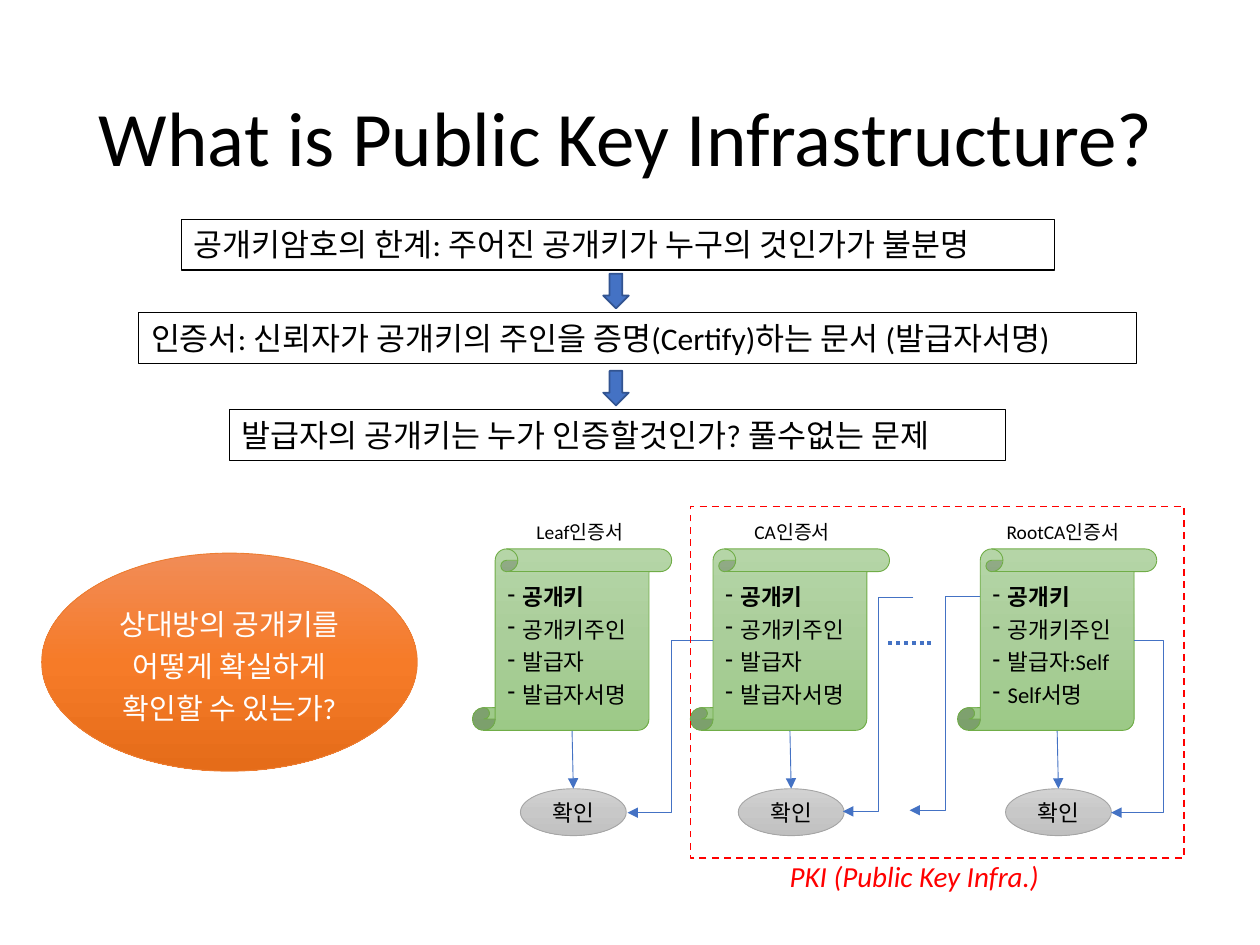
import copy
from dataclasses import dataclass

import pptx
import pptx.dml.color
import pptx.enum.dml
import pptx.enum.shapes
import pptx.enum.text
import pptx.oxml.ns
import pptx.util
from lxml import etree

Pt = pptx.util.Pt
qn = pptx.oxml.ns.qn
SHAPE = pptx.enum.shapes.MSO_SHAPE
CONNECTOR = pptx.enum.shapes.MSO_CONNECTOR
DASH = pptx.enum.dml.MSO_LINE
ALIGN = pptx.enum.text.PP_ALIGN
ANCHOR = pptx.enum.text.MSO_ANCHOR


@dataclass(frozen=True)
class Theme:
    font: str = "Calibri"
    title: float = 44
    step: float = 18
    callout: float = 16.6
    body: float = 12.9
    label: float = 11.1
    black: str = "000000"
    white: str = "FFFFFF"
    red: str = "FF0000"
    blue: str = "4472C4"
    dark_blue: str = "325491"
    green: str = "70AD47"
    orange: str = "ED7D31"
    gray: str = "A5A5A5"
    green_fill: tuple = ("B5D5A7", "AACE9A", "9CC987")
    orange_fill: tuple = ("F18C57", "F67B28", "E56C19")
    gray_fill: tuple = ("D2D2D2", "C8C8C8", "C0C0C0")


def rgb(value):
    return pptx.dml.color.RGBColor.from_string(value)


class Painter:
    def __init__(self, page, theme):
        self.page = page
        self.theme = theme

    def outline(self, line, color, width, dash=None):
        line.color.rgb = rgb(color)
        line.width = Pt(width)
        if dash:
            line.dash_style = dash

    def set_text(self, item, text, size, color=None, align=ALIGN.LEFT,
                 anchor=ANCHOR.TOP, spacing=None, bullet=None):
        frame = item.text_frame
        frame.word_wrap = True
        frame.vertical_anchor = anchor
        frame.text = text
        for para in frame.paragraphs:
            para.alignment = align
            if spacing:
                para.line_spacing = spacing
            if bullet:
                properties = para._p.get_or_add_pPr()
                properties.set("marL", str(Pt(8.6)))
                properties.set("indent", str(-Pt(8.6)))
                etree.SubElement(properties, qn("a:buChar")).set("char", bullet)
            for span in para.runs:
                span.font.name = self.theme.font
                span.font.size = Pt(size)
                span.font.color.rgb = rgb(color or self.theme.black)

    def text(self, text, left, top, width, height, size, **style):
        box = self.page.shapes.add_textbox(Pt(left), Pt(top), Pt(width), Pt(height))
        self.set_text(box, text, size, **style)
        return box

    def gradient(self, fill, colors):
        """Fill from top to bottom with three evenly spaced colours."""
        fill.gradient()
        fill.gradient_angle = 270
        stops = fill._xPr.find(qn("a:gradFill")).find(qn("a:gsLst"))
        stops.append(copy.deepcopy(stops[0]))
        for index, (stop, color) in enumerate(zip(fill.gradient_stops, colors)):
            stop.position = index / 2
            stop.color.rgb = rgb(color)

    def shape(self, kind, left, top, width, height, fill, color, line_width, dash=None):
        item = self.page.shapes.add_shape(kind, Pt(left), Pt(top), Pt(width), Pt(height))
        item.shadow.inherit = False
        if fill is None:
            item.fill.background()
        elif isinstance(fill, tuple):
            self.gradient(item.fill, fill)
        else:
            item.fill.solid()
            item.fill.fore_color.rgb = rgb(fill)
        self.outline(item.line, color, line_width, dash)
        return item

    def connector(self, start, end, width=0.5, bend=None, dash=None, arrow=True):
        """Join two points; bend is where the elbow turns, as a share of the width."""
        kind = CONNECTOR.STRAIGHT if bend is None else CONNECTOR.ELBOW
        item = self.page.shapes.add_connector(kind, *map(Pt, start + end))
        self.outline(item.line, self.theme.blue, width, dash)
        properties = item._element.spPr
        if bend is not None:
            guides = properties.find(qn("a:prstGeom")).get_or_add_avLst()
            guide = etree.SubElement(guides, qn("a:gd"))
            guide.set("name", "adj1")
            guide.set("fmla", f"val {round(bend * 100000)}")
        if arrow:
            tail = etree.SubElement(properties.find(qn("a:ln")), qn("a:tailEnd"))
            tail.set("type", "triangle")
        etree.SubElement(properties, qn("a:effectLst"))

    def step(self, text, left, top, width):
        box = self.text(text, left, top, width, 29, self.theme.step)
        self.outline(box.line, self.theme.black, 0.75)

    def certificate(self, left, label, label_left, label_width, lines):
        """Draw a labelled scroll with an arrow down to its check."""
        theme = self.theme
        scroll = self.shape(SHAPE.VERTICAL_SCROLL, left, 313.7, 113.8, 103.7,
                            theme.green_fill, theme.green, 0.5)
        self.set_text(scroll, "\n".join(lines), theme.body, spacing=1.2, bullet="-")
        scroll.text_frame.paragraphs[0].runs[0].font.bold = True
        self.text(label, label_left, 293.8, label_width, 20.9, theme.label)
        check = self.shape(SHAPE.OVAL, left + 27.4, 450.7, 60.5, 26.8,
                           theme.gray_fill, theme.gray, 0.5)
        self.set_text(check, "확인", theme.body, align=ALIGN.CENTER, anchor=ANCHOR.MIDDLE)
        self.connector((left + 56.9, 417.6), (left + 57.6, 450.7))


def main():
    deck = pptx.Presentation()
    deck.slide_width, deck.slide_height = Pt(720), Pt(540)
    theme = Theme()
    painter = Painter(deck.slides.add_slide(deck.slide_layouts[6]), theme)

    painter.text("What is Public Key Infrastructure?", 49.5, 28.8, 621, 104.4,
                 theme.title, anchor=ANCHOR.MIDDLE, spacing=0.9)

    painter.step("공개키암호의 한계: 주어진 공개키가 누구의 것인가가 불분명", 103.7, 125.3, 499)
    painter.step("인증서: 신뢰자가 공개키의 주인을 증명(Certify)하는 문서 (발급자서명)",
                 79.2, 178.6, 570.2)
    painter.step("발급자의 공개키는 누가 인증할것인가? 풀수없는 문제", 131, 234, 443.5)
    for top in (156.4, 211.9):
        painter.shape(SHAPE.DOWN_ARROW, 344.7, top, 14.6, 19.8,
                      theme.blue, theme.dark_blue, 1)

    question = painter.shape(SHAPE.OVAL, 23.8, 316.1, 214.6, 124.6,
                             theme.orange_fill, theme.orange, 0.5)
    painter.set_text(question, "상대방의 공개키를\n어떻게 확실하게\n확인할 수 있는가?",
                     theme.callout, theme.white, ALIGN.CENTER, ANCHOR.MIDDLE, 1.2)

    holder = ["공개키", "공개키주인"]
    issued = holder + ["발급자", "발급자서명"]
    self_signed = holder + ["발급자:Self", "Self서명"]
    painter.certificate(270, "Leaf인증서", 299.5, 67, issued)
    painter.certificate(394.5, "CA인증서", 424, 60.5, issued)
    painter.certificate(547.2, "RootCA인증서", 568.1, 82.1, self_signed)

    painter.connector((407.5, 365.8), (358.6, 464.4), bend=0.49)
    painter.connector((648, 365.8), (635, 464.4), bend=-1.29)
    painter.connector((560.2, 340.6), (519.8, 463), bend=0.5)
    painter.connector((522, 341.3), (481.7, 463.7), bend=0.5)
    painter.connector((507.6, 367.2), (533.5, 367.2), width=2.25,
                      dash=DASH.ROUND_DOT, arrow=False)

    painter.shape(SHAPE.RECTANGLE, 394.5, 289.4, 282.2, 200.9, None,
                  theme.red, 1, DASH.DASH)
    caption = painter.text("PKI (Public Key Infra.)", 444.2, 486.7, 158.4, 27.4,
                           theme.callout, color=theme.red)
    caption.text_frame.paragraphs[0].runs[0].font.italic = True

    deck.save("out.pptx")


if __name__ == "__main__":
    main()
